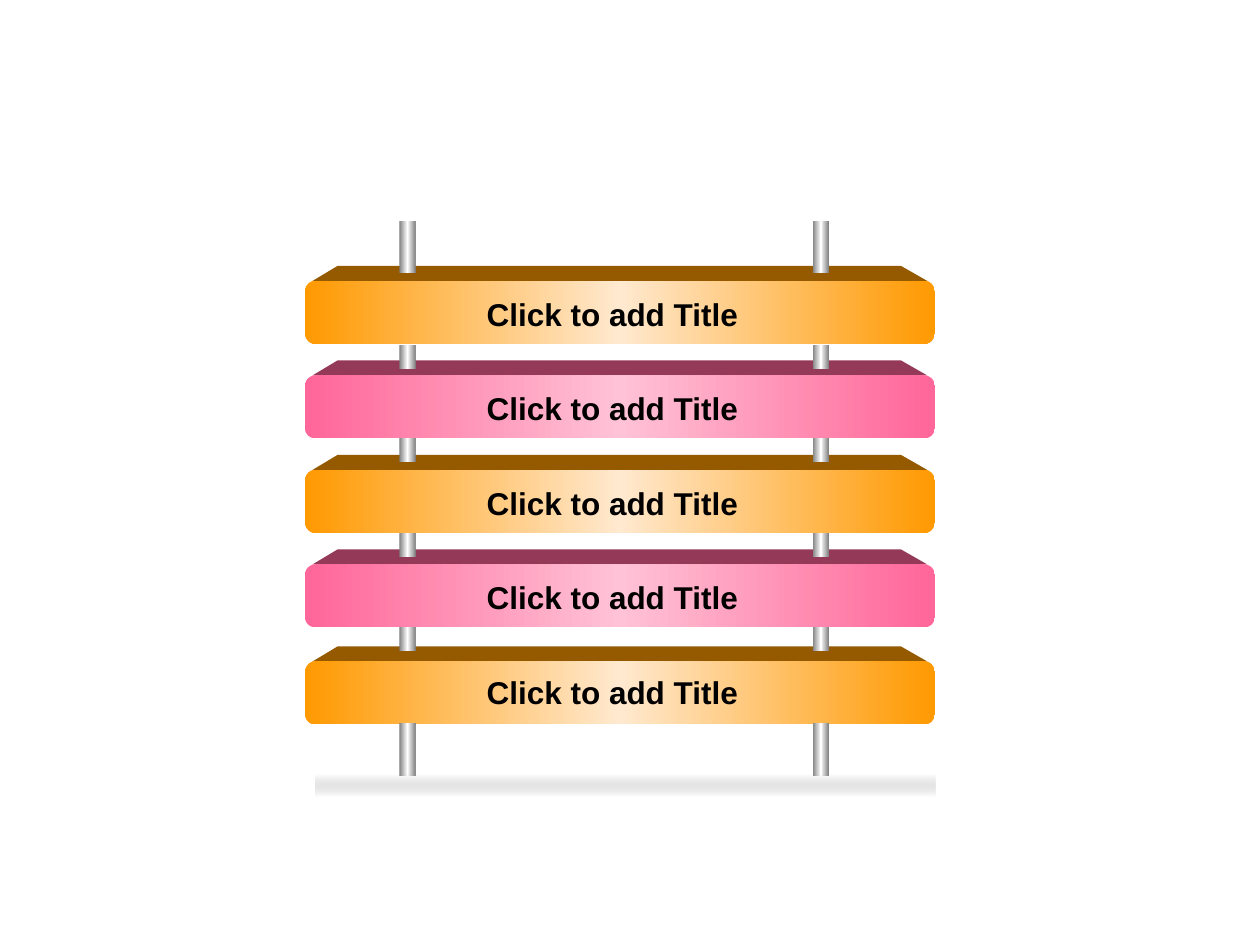
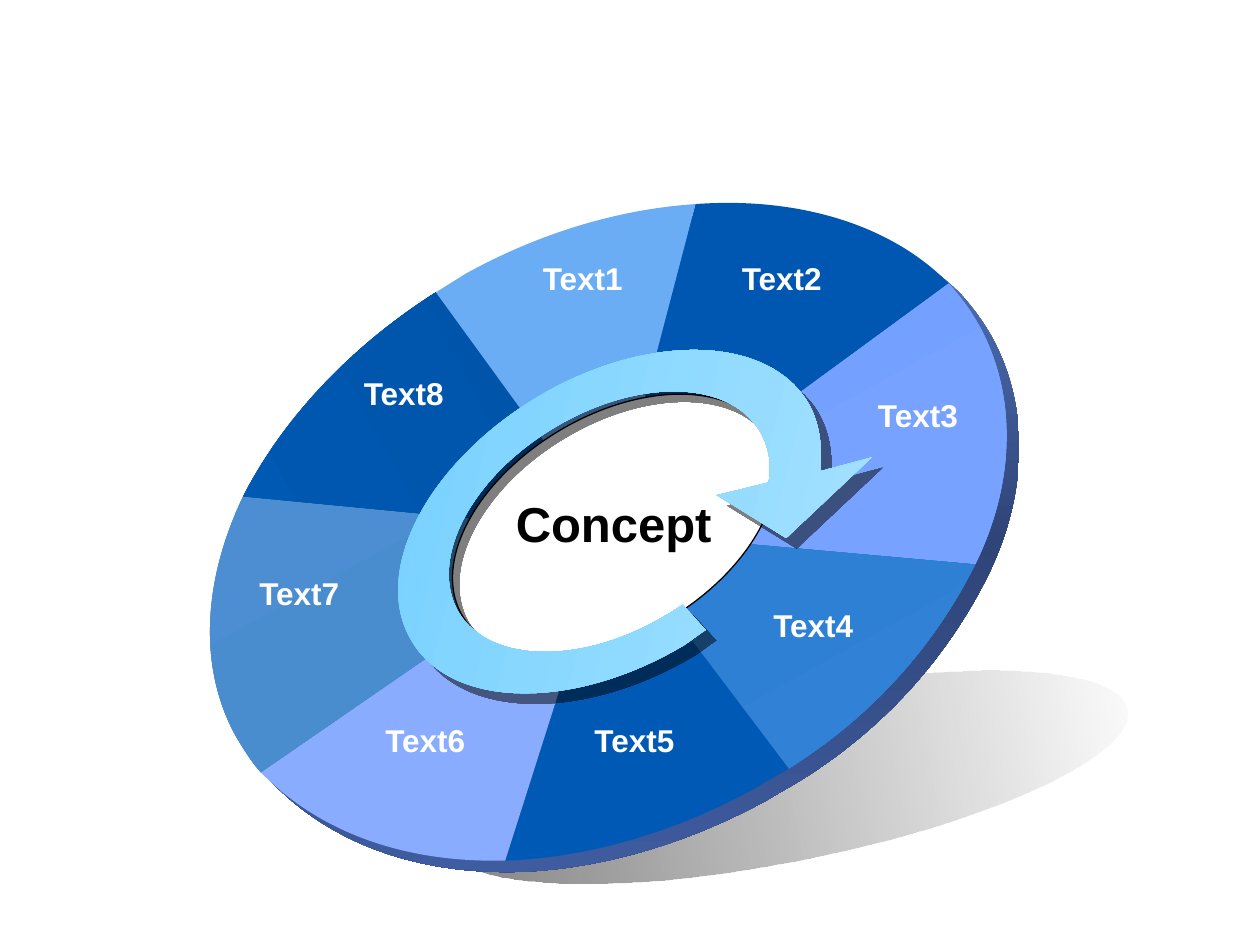
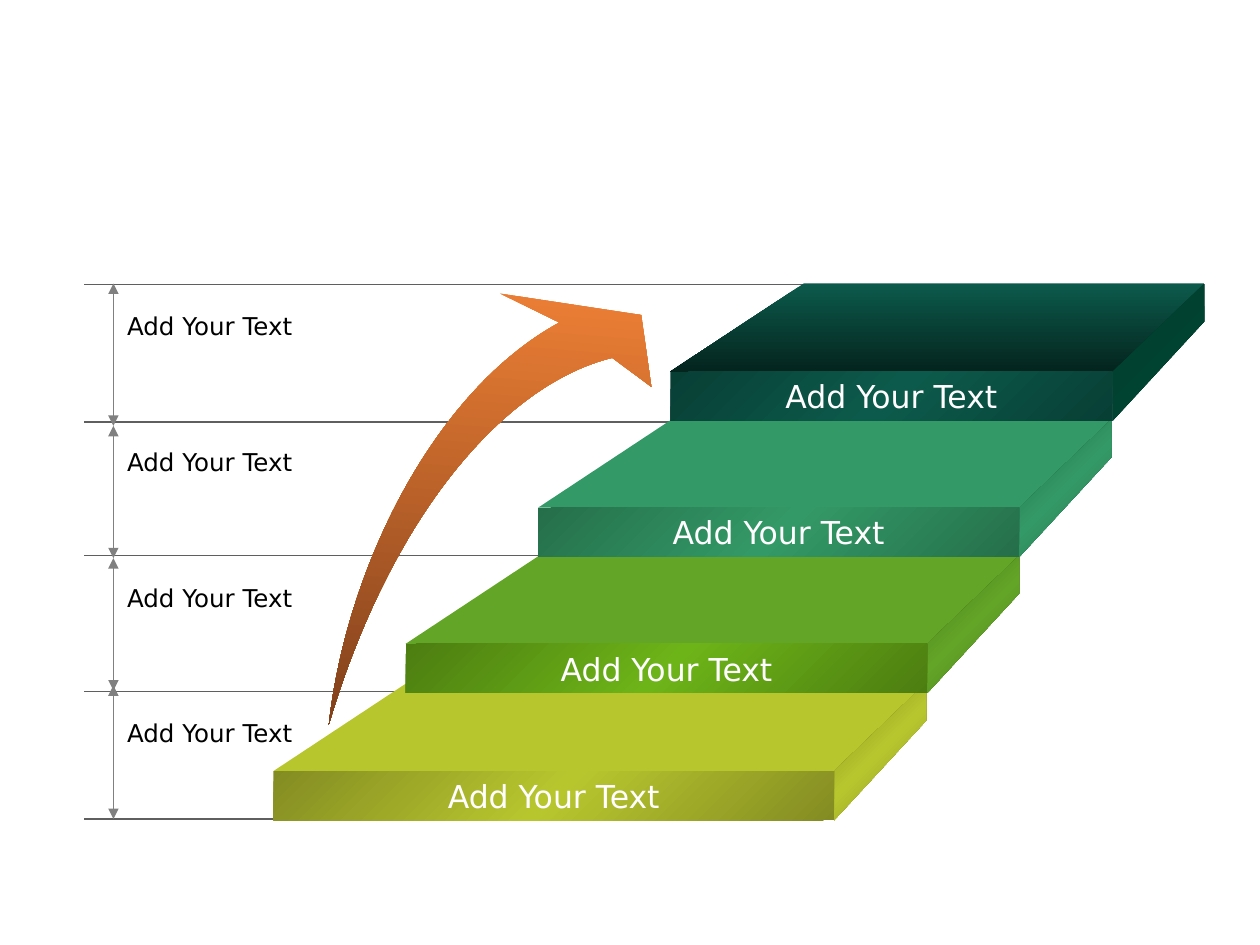
from pptx import Presentation
from pptx.dml.color import RGBColor
from pptx.enum import shapes, text
from pptx.oxml import parse_xml
from pptx.oxml.ns import nsdecls, qn
from pptx.util import Inches, Pt
import math

BLACK, WHITE = "000000", "FFFFFF"
ORANGE, PINK, GRAY = "FF9900", "FF6699", "7F7F7F"


def paint(shape, colours, angle=0, alphas=(100, 100, 100)):
    shape.shadow.inherit = False
    shape.line.fill.background()
    if len(colours) == 1:
        shape.fill.solid()
        shape.fill.fore_color.rgb = RGBColor.from_string(colours[0])
        return
    shape.fill.background()
    stops = "".join(
        f'<a:gs pos="{100000 * i // (len(colours) - 1)}"><a:srgbClr val="{colour}">'
        f'<a:alpha val="{alpha * 1000}"/></a:srgbClr></a:gs>'
        for i, (colour, alpha) in enumerate(zip(colours, alphas)))
    properties = shape._element.spPr
    properties.replace(properties.find(qn("a:noFill")), parse_xml(
        f'<a:gradFill {nsdecls("a")} rotWithShape="1"><a:gsLst>{stops}</a:gsLst>'
        f'<a:lin ang="{angle * 60000}" scaled="0"/></a:gradFill>'))


def outline(slide, start, segments, box=None, rotation=0):
    if box is None:
        xs = [x for segment in [start, *segments] for x in segment[::2]]
        ys = [y for segment in [start, *segments] for y in segment[1::2]]
        box = min(xs), min(ys), max(xs) - min(xs), max(ys) - min(ys)
    left, top, width, height = box
    right, bottom = left + width, top + height
    builder = slide.shapes.build_freeform(Inches(left), Inches(top), scale=1.0)
    builder.add_line_segments([(Inches(x), Inches(y)) for x, y in
                               [(right, top), (right, bottom), (left, bottom)]])
    shape = builder.convert_to_shape()
    shape.rotation = rotation
    cos, sin = math.cos(math.radians(rotation)), math.sin(math.radians(rotation))
    track = next(shape._element.iter(qn("a:path")))
    for child in list(track):
        track.remove(child)
    for i, segment in enumerate([start, *segments]):
        tag = "moveTo" if i == 0 else "lnTo" if len(segment) == 2 else "cubicBezTo"
        points = ""
        for x, y in zip(segment[::2], segment[1::2]):
            dx, dy = x - left - width / 2, y - top - height / 2
            points += (f'<a:pt x="{Inches(width / 2 + dx * cos + dy * sin)}" '
                       f'y="{Inches(height / 2 + dy * cos - dx * sin)}"/>')
        track.append(parse_xml(f'<a:{tag} {nsdecls("a")}>{points}</a:{tag}>'))
    track.append(parse_xml(f'<a:close {nsdecls("a")}/>'))
    return shape


prs = Presentation()
prs.slide_width, prs.slide_height = Inches(10), Inches(7.5)
signboard, wheel, stairs = [prs.slides.add_slide(prs.slide_layouts[6]) for _ in range(3)]
labels = []

for i, top in enumerate([2.23, 2.98, 3.73, 4.48, 5.25]):
    edge, middle, shade = [(ORANGE, "FFE9CF", "955A00"), (PINK, "FFC2D6", "943A58")][i % 2]
    ledge = outline(signboard, (2.48, top), [(2.68, top - 0.12), (7.15, top - 0.12), (7.36, top)])
    paint(ledge, [shade])
    plank = signboard.shapes.add_shape(
        shapes.MSO_SHAPE.ROUNDED_RECTANGLE, Inches(2.42), Inches(top), Inches(5), Inches(0.5))
    paint(plank, [edge, middle, edge])
    title = signboard.shapes.add_textbox(
        Inches(3.42), Inches(2.29 + 0.75 * i), Inches(2.88), Inches(0.4))
    labels.append((title, "Click to add Title", 18, "Arial", BLACK))

for left in (3.17, 6.45):
    for top, height in [(1.75, 0.42), (2.74, 0.19), (3.48, 0.19),
                        (4.23, 0.19), (4.98, 0.19), (5.74, 0.42)]:
        rod = signboard.shapes.add_shape(
            shapes.MSO_SHAPE.RECTANGLE, Inches(left), Inches(top), Inches(0.13), Inches(height))
        paint(rod, [GRAY, WHITE, GRAY])

ground = signboard.shapes.add_shape(
    shapes.MSO_SHAPE.RECTANGLE, Inches(2.5), Inches(6.15), Inches(4.92), Inches(0.17))
paint(ground, ["B2B2B2", "D2D2D2", "B2B2B2"], 90, (0, 58, 0))

cast_shadow = wheel.shapes.add_shape(
    shapes.MSO_SHAPE.OVAL, Inches(3.5), Inches(5.5), Inches(5.5), Inches(1.33))
cast_shadow.rotation = 348.7
paint(cast_shadow, [BLACK, WHITE], 0, (50, 48))

hub = (4.84, 4.22)
rim_start = (5.52, 1.62)
wheel_box, wheel_tilt = (1.47, 1.88, 6.73, 4.68), 331.1
sectors = [
    ([(6.33, 1.56, 7.07, 1.78, 7.53, 2.25)], ["0057B2"], 0, "Text2", 5.78, 2.01),
    ([(7.62, 2.35, 7.71, 2.47, 7.78, 2.6), (8.07, 3.14, 8.06, 3.83, 7.74, 4.48)],
     ["6F9DFF", "7CA6FF"], 90, "Text3", 6.86, 3.09),
    ([(7.42, 5.12, 6.93, 5.68, 6.26, 6.1)], ["2378CE", "3585D8"], 90, "Text4", 6.03, 4.76),
    ([(6.16, 6.16, 6.07, 6.21, 5.97, 6.27), (5.34, 6.61, 4.66, 6.81, 4.01, 6.83)],
     ["005AB5"], 0, "Text5", 4.61, 5.67),
    ([(3.2, 6.85, 2.53, 6.6, 2.07, 6.13)], ["8AACFF"], 0, "Text6", 2.95, 5.67),
    ([(1.99, 6.04, 1.93, 5.94, 1.87, 5.84), (1.58, 5.31, 1.6, 4.63, 1.93, 3.94)],
     ["5092D5", "4587C8"], 90, "Text7", 1.95, 4.51),
    ([(2.24, 3.33, 2.78, 2.75, 3.46, 2.32)], ["005CB8", "004E9E"], 0, "Text8", 2.78, 2.92),
    ([(3.54, 2.27, 3.62, 2.22, 3.7, 2.17), (4.28, 1.85, 4.91, 1.66, *rim_start)],
     ["6AADF5"], 0, "Text1", 4.2, 2.01),
]
rim = outline(wheel, rim_start, [curve for sector in sectors for curve in sector[0]])
rim.left += Inches(0.1)
rim.top += Inches(0.09)
paint(rim, ["5577C0", "2F4477", "3F5CA0"], 90)

sector_start = rim_start
for arc, colours, angle, words, left, top in sectors:
    paint(outline(wheel, sector_start, [*arc, hub], wheel_box, wheel_tilt), colours, angle)
    sector_start = arc[-1][4:]
    caption = wheel.shapes.add_textbox(Inches(left), Inches(top), Inches(0.85), Inches(0.4))
    labels.append((caption, words, 18, "Arial", WHITE))

core = wheel.shapes.add_shape(
    shapes.MSO_SHAPE.OVAL, Inches(3.47), Inches(3.3), Inches(2.81), Inches(1.73))
core.rotation = 328.9
paint(core, [WHITE])
core.line.color.rgb = RGBColor.from_string(BLACK)
core.line.width = Pt(0.75)

cycle_arrow = outline(wheel, (6.1, 3.83), [
    (6.13, 3.68, 6.1, 3.54, 6.03, 3.42), (5.78, 3.01, 5.05, 3, 4.39, 3.4),
    (3.73, 3.8, 3.4, 4.45, 3.64, 4.86), (3.89, 5.27, 4.63, 5.28, 5.29, 4.88),
    (5.33, 4.86, 5.37, 4.83, 5.42, 4.8), (5.6, 5), (5.54, 5.04, 5.49, 5.08, 5.43, 5.12),
    (4.56, 5.64, 3.59, 5.63, 3.27, 5.09), (2.94, 4.55, 3.38, 3.69, 4.25, 3.16),
    (5.11, 2.64, 6.08, 2.65, 6.41, 3.19), (6.5, 3.34, 6.53, 3.53, 6.51, 3.74),
    (6.92, 3.63), (6.24, 4.27), (5.69, 3.93)], (3, 3, 3.67, 2.28), 328.8)
paint(cycle_arrow, ["70CFFF", "A8E2FF"], 45)
cycle_arrow._element.spPr.find(qn("a:effectLst")).append(parse_xml(
    f'<a:outerShdw {nsdecls("a")} blurRad="0" dist="{Pt(8.5)}" dir="2700000" algn="ctr" '
    f'rotWithShape="0"><a:srgbClr val="{BLACK}"><a:alpha val="50000"/></a:srgbClr></a:outerShdw>'))
concept = wheel.shapes.add_textbox(Inches(3.8), Inches(3.87), Inches(2.14), Inches(0.57))
labels.append((concept, "Concept", 28, "Arial", BLACK))

rules = []
for i, y in enumerate([6.5, 5.49, 4.41, 3.35, 2.26]):
    rules.append((2.17 + 1.05 * i, y, 0.67, y, "5F5F5F", False))
for top, bottom in [(2.25, 3.38), (3.38, 4.43), (4.43, 5.48), (5.44, 6.5)]:
    rules.append((0.9, top, 0.9, bottom, "808080", True))
for x1, y1, x2, y2, colour, arrowheads in rules:
    rule = stairs.shapes.add_connector(
        shapes.MSO_CONNECTOR.STRAIGHT, Inches(x1), Inches(y1), Inches(x2), Inches(y2))
    rule.line.color.rgb = RGBColor.from_string(colour)
    rule.line.width = Pt(0.75)
    if arrowheads:
        for end in ("headEnd", "tailEnd"):
            rule.line._get_or_add_ln().append(
                parse_xml(f'<a:{end} {nsdecls("a")} type="triangle"/>'))
    rule._element.spPr.append(parse_xml(f'<a:effectLst {nsdecls("a")}/>'))

steps = [
    (6.12, 6.62, 5.65, ["B8C62E"],
     ["848E21", "B8C62E", "848E21"], ["838C22", "B8C62E", "838C22"]),
    (5.11, 7.36, 4.58, ["63A527"],
     ["47761C", "63A527", "47761C"], ["4C7D11", "6DB418", "4C7D11"]),
    (4.03, 8.09, 3.5, ["339966"],
     ["246D49", "339966", "246D49"], ["256F4A", "339966", "256F4A"]),
    (2.95, 8.83, 2.42, ["0C5A4B", "04241E"],
     ["003A2B", "004A36"], ["083F35", "0C5A4B", "083F35"]),
]
for i, (top, right, note_top, deck_colours, side_colours, front_colours) in enumerate(steps):
    left = 2.17 + 1.05 * i
    back, back_right = top - 0.7, right + 0.73
    deck = outline(stairs, (right, top), [(left, top), (left + 1.06, back), (back_right, back)])
    paint(deck, deck_colours, 90)
    side = outline(stairs, (back_right, back + 0.3), [
        (right, top + 0.39), (right, top), (back_right, back)])
    paint(side, side_colours, 45)
    front = stairs.shapes.add_shape(
        shapes.MSO_SHAPE.RECTANGLE, Inches(left), Inches(top), Inches(right - left), Inches(0.39))
    paint(front, front_colours, 45)
    labels.append((front, "Add Your Text", 18, "DejaVu Sans", WHITE))
    note = stairs.shapes.add_textbox(Inches(0.91), Inches(note_top), Inches(1.59), Inches(0.33))
    labels.append((note, "Add Your Text", 14, "DejaVu Sans", BLACK))

rising_arrow = outline(stairs, (2.61, 5.75), [
    (2.75, 4.5, 3.45, 3.1, 4.44, 2.56), (3.97, 2.33), (5.09, 2.5), (5.17, 3.07),
    (4.86, 2.84), (4, 3.05, 3.1, 4.1, 2.61, 5.75)], (2.75, 2.33, 2.33, 3.52), 4.6)
paint(rising_arrow, ["F08136", "7B3D1A"], 90)

for holder, words, size, font, colour in labels:
    frame = holder.text_frame
    frame.text = words
    frame.word_wrap = font == "Arial" and colour == BLACK
    if holder.shape_type == shapes.MSO_SHAPE_TYPE.TEXT_BOX:
        frame.auto_size = text.MSO_AUTO_SIZE.SHAPE_TO_FIT_TEXT
    else:
        frame.vertical_anchor = text.MSO_ANCHOR.MIDDLE
    paragraph = frame.paragraphs[0]
    paragraph.alignment = text.PP_ALIGN.LEFT if size == 14 else text.PP_ALIGN.CENTER
    run = paragraph.runs[0]
    run.font.name, run.font.size = font, Pt(size)
    run.font.bold = font == "Arial"
    run.font.color.rgb = RGBColor.from_string(colour)

prs.save("out.pptx")
